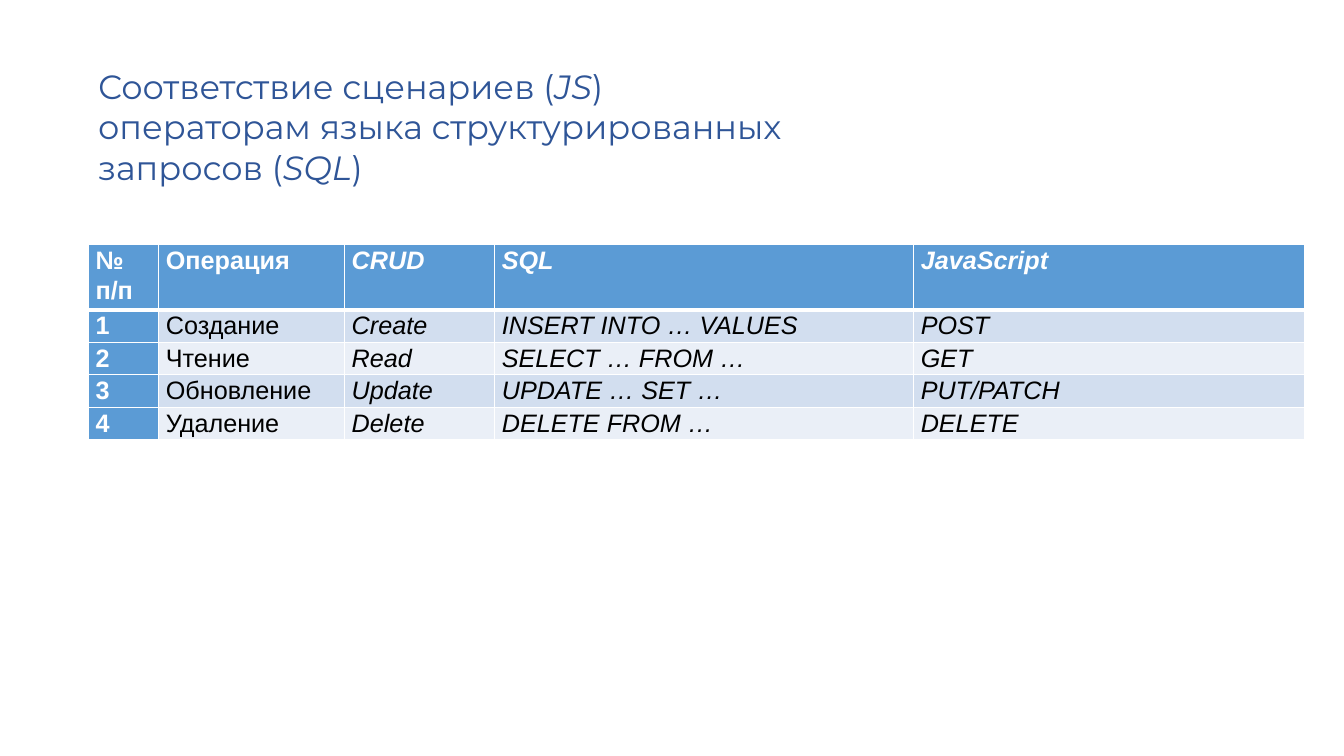
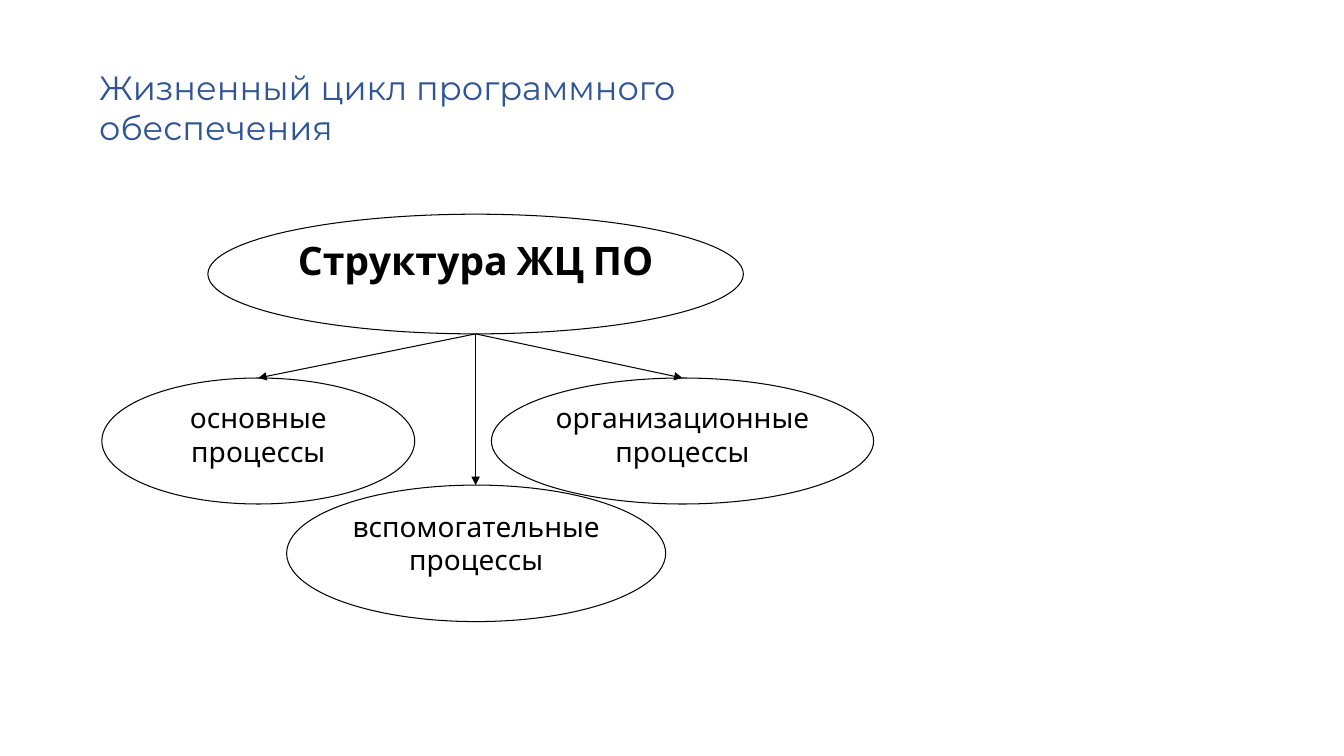
from lxml import etree
from pptx import Presentation
from pptx import util as u
from pptx.dml.color import RGBColor
from pptx.enum import shapes, text
from pptx.oxml import parse_xml
from pptx.oxml.ns import nsdecls, qn

PX = 9525
TITLE_BLUE = RGBColor(0x2F, 0x55, 0x97)
HEADER_BLUE = RGBColor(0x5B, 0x9B, 0xD5)
BAND_DARK = RGBColor(0xD2, 0xDE, 0xEF)
BAND_LIGHT = RGBColor(0xEA, 0xEF, 0xF7)
BLACK = RGBColor(0, 0, 0)
WHITE = RGBColor(0xFF, 0xFF, 0xFF)

deck = Presentation()
deck.slide_width, deck.slide_height = 1280 * PX, 720 * PX
blank = deck.slide_layouts[6]


def style(font, name, size, color, bold=False, italic=False):
    font.name, font.size = name, u.Pt(size)
    font.color.rgb = color
    font.bold, font.italic = bold, italic


def add_titled_slide(box, lines, wrap):
    slide = deck.slides.add_slide(blank)
    frame = slide.shapes.add_textbox(*(n * PX for n in box)).text_frame
    frame.word_wrap = wrap
    frame.auto_size = text.MSO_AUTO_SIZE.SHAPE_TO_FIT_TEXT
    frame.text = "\n".join(line.replace("*", "") for line in lines)
    for paragraph, line in zip(frame.paragraphs, lines):
        paragraph.text = ""
        for i, part in enumerate(line.split("*")):
            run = paragraph.add_run()
            run.text = part
            style(run.font, "Montserrat", 24, TITLE_BLUE, italic=i % 2 == 1)
    return slide


operations_slide = add_titled_slide(
    (84, 58, 733, 126),
    ["Соответствие сценариев (*JS*)",
     "операторам языка структурированных",
     "запросов (*SQL*)"],
    wrap=False)

operations = [
    ("№ п/п", "Операция", "CRUD", "SQL", "JavaScript"),
    ("1", "Создание", "Create", "INSERT INTO … VALUES", "POST"),
    ("2", "Чтение", "Read", "SELECT … FROM …", "GET"),
    ("3", "Обновление", "Update", "UPDATE … SET …", "PUT/PATCH"),
    ("4", "Удаление", "Delete", "DELETE FROM …", "DELETE"),
]
column_widths = [67, 177, 143, 399, 373]
row_heights = [62, 31, 31, 31, 31]
grid = operations_slide.shapes.add_table(
    len(operations), len(column_widths), 84 * PX, 233 * PX,
    sum(column_widths) * PX, sum(row_heights) * PX).table
for column, width in zip(grid.columns, column_widths):
    column.width = width * PX
for row, height in zip(grid.rows, row_heights):
    row.height = height * PX

for r, record in enumerate(operations):
    for c, value in enumerate(record):
        cell = grid.cell(r, c)
        heading = r == 0 or c == 0
        cell.margin_left = cell.margin_right = 7 * PX
        cell.margin_top = cell.margin_bottom = 0
        for side in "LRTB":
            thick = (r == 0 and side == "B") or (r == 1 and side == "T")
            cell._tc.get_or_add_tcPr().append(parse_xml(
                f'<a:ln{side} {nsdecls("a")} w="{u.Pt(3 if thick else 1)}">'
                f'<a:solidFill><a:srgbClr val="{WHITE}"/></a:solidFill></a:ln{side}>'))
        cell.fill.solid()
        band = BAND_DARK if r % 2 else BAND_LIGHT
        cell.fill.fore_color.rgb = HEADER_BLUE if heading else band
        cell.text_frame.text = value
        paragraph = cell.text_frame.paragraphs[0]
        paragraph.alignment = text.PP_ALIGN.JUSTIFY
        paragraph.line_spacing = 1.07
        style(paragraph.runs[0].font, "Arial", 18,
              WHITE if heading else BLACK, bold=heading, italic=c >= 2)

lifecycle_slide = add_titled_slide(
    (85, 59, 640, 87), ["Жизненный цикл программного обеспечения"], wrap=True)

processes = [
    ("Структура ЖЦ ПО", 198, 204, 510, 114),
    ("основные процессы", 97, 360, 298, 120),
    ("вспомогательные процессы", 273, 462, 361, 130),
    ("организационные процессы", 468, 360, 364, 120),
]
for i, (label, *box) in enumerate(processes):
    oval = lifecycle_slide.shapes.add_shape(
        shapes.MSO_SHAPE.OVAL, *(n * PX for n in box))
    oval.shadow.inherit = False
    oval.fill.solid()
    oval.fill.fore_color.rgb = WHITE
    oval.line.color.rgb = BLACK
    oval.line.width = u.Pt(0.75)
    frame = oval.text_frame
    frame.word_wrap = True
    frame.vertical_anchor = text.MSO_ANCHOR.TOP
    frame.margin_left = frame.margin_right = 7 * PX
    frame.margin_top = frame.margin_bottom = 4 * PX
    frame.text = label
    frame.paragraphs[0].alignment = text.PP_ALIGN.CENTER
    style(frame.paragraphs[0].runs[0].font, "Cabin",
          20 if i else 28, BLACK, bold=i == 0)

_, left, top, width, height = processes[0]
root_x, root_y = left + width // 2, top + height
for _, left, top, width, _ in processes[1:]:
    arrow = lifecycle_slide.shapes.add_connector(
        shapes.MSO_CONNECTOR.STRAIGHT, root_x * PX, root_y * PX,
        (left + width // 2) * PX, top * PX)
    arrow.line.color.rgb = BLACK
    arrow.line.width = u.Pt(0.75)
    etree.SubElement(arrow.line._get_or_add_ln(), qn("a:tailEnd"), type="triangle")
    etree.SubElement(arrow._element.spPr, qn("a:effectLst"))

deck.save("out.pptx")
